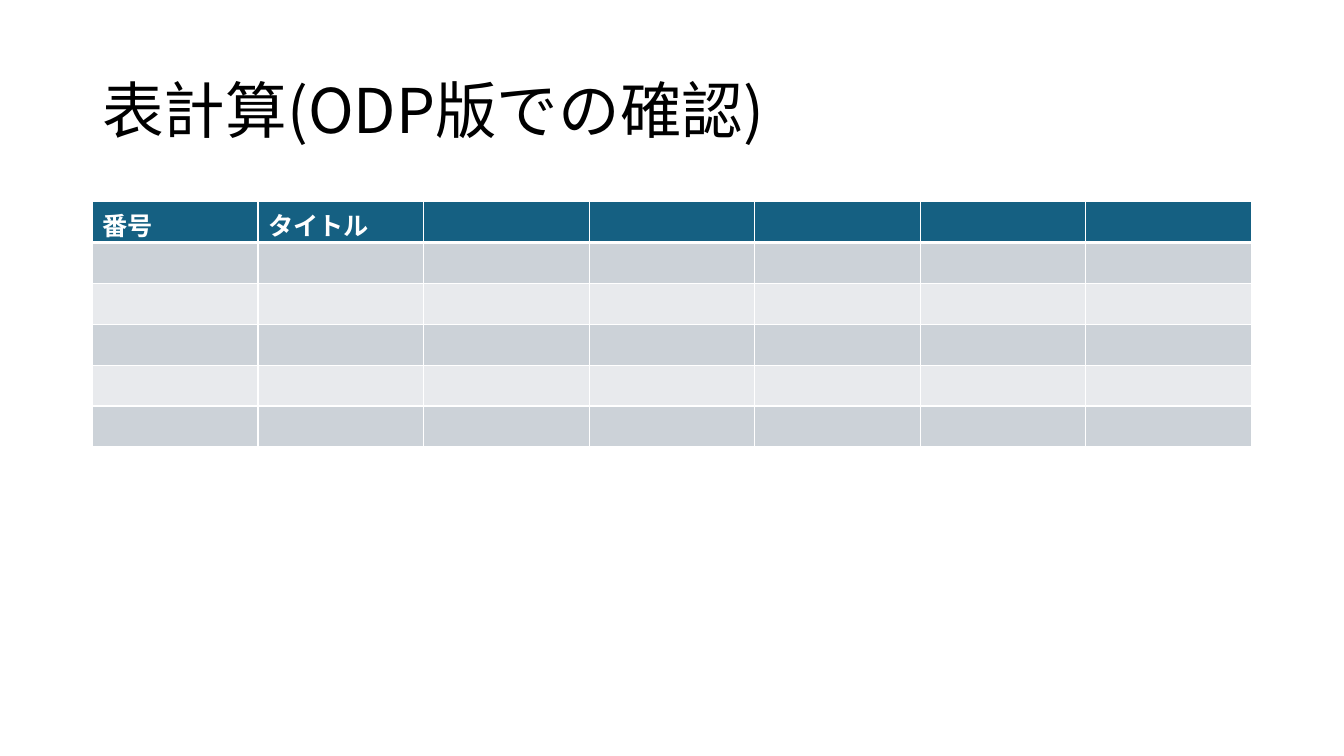
from dataclasses import dataclass

from lxml import etree
from pptx import Presentation
from pptx.dml.color import RGBColor
from pptx.enum.text import MSO_ANCHOR
from pptx.oxml.ns import qn
from pptx.slide import Slide
from pptx.table import _Cell
from pptx.text.text import _Paragraph
from pptx.util import Inches, Pt

SLIDE_WIDTH, SLIDE_HEIGHT = Inches(13.333), Inches(7.5)
GRID_COLUMNS, GRID_ROWS = 160, 90
BLANK_LAYOUT = 6
MIDDLE = MSO_ANCHOR.MIDDLE

FONT_NAME = "Noto Sans CJK JP"
BLACK = RGBColor(0x00, 0x00, 0x00)
WHITE = RGBColor(0xFF, 0xFF, 0xFF)
HEADER_BLUE = RGBColor(0x15, 0x60, 0x82)
BAND_DARK = RGBColor(0xCC, 0xD2, 0xD8)
BAND_LIGHT = RGBColor(0xE8, 0xEA, 0xED)

TITLE = "表計算(ODP版での確認)"
HEADINGS = ["番号", "タイトル", "", "", "", "", ""]
BODY_ROWS = 5
THIN, THICK = 1, 3


@dataclass(frozen=True)
class Area:
    """A rectangle in grid columns and rows."""
    column: float
    row: float
    columns: float
    rows: float

    def box(self) -> tuple[int, int, int, int]:
        """Left, top, width and height in slide units."""
        column_width = SLIDE_WIDTH / GRID_COLUMNS
        row_height = SLIDE_HEIGHT / GRID_ROWS
        return (round(self.column * column_width), round(self.row * row_height),
                round(self.columns * column_width), round(self.rows * row_height))


@dataclass(frozen=True)
class RowStyle:
    fill: RGBColor
    top: int
    bottom: int


TITLE_AREA = Area(11, 4.8, 138, 17.4)
TABLE_AREA = Area(11, 24, 138, 29.2)


def style_paragraph(paragraph: _Paragraph, size: int, color: RGBColor,
                    bold: bool = False) -> None:
    font = paragraph.font
    font.name, font.size, font.bold = FONT_NAME, Pt(size), bold
    font.color.rgb = color
    properties = paragraph._p.get_or_add_pPr().find(qn("a:defRPr"))
    etree.SubElement(properties, qn("a:ea"), typeface=FONT_NAME)


def add_border(cell: _Cell, side: str, points: int) -> None:
    line = etree.SubElement(cell._tc.get_or_add_tcPr(), qn(f"a:ln{side}"),
                            w=str(Pt(points)))
    fill = etree.SubElement(line, qn("a:solidFill"))
    etree.SubElement(fill, qn("a:srgbClr"), val=str(WHITE))


def style_cell(cell: _Cell, style: RowStyle) -> None:
    """Draw the borders first, as the fill must follow them in the XML."""
    for side, points in (("L", THIN), ("R", THIN),
                         ("T", style.top), ("B", style.bottom)):
        add_border(cell, side, points)
    cell.fill.solid()
    cell.fill.fore_color.rgb = style.fill


def row_style(row: int) -> RowStyle:
    if row == 0:
        return RowStyle(HEADER_BLUE, THIN, THICK)
    return RowStyle(BAND_DARK if row % 2 else BAND_LIGHT,
                    THICK if row == 1 else THIN, THIN)


def add_title(slide: Slide) -> None:
    frame = slide.shapes.add_textbox(*TITLE_AREA.box()).text_frame
    frame.word_wrap = True
    frame.vertical_anchor = MIDDLE
    paragraph = frame.paragraphs[0]
    paragraph.text = TITLE
    paragraph.line_spacing = 0.9
    style_paragraph(paragraph, 44, BLACK)


def add_number_table(slide: Slide) -> None:
    table = slide.shapes.add_table(BODY_ROWS + 1, len(HEADINGS),
                                   *TABLE_AREA.box()).table
    for row_index, row in enumerate(table.rows):
        for cell in row.cells:
            style_cell(cell, row_style(row_index))
    for cell, heading in zip(table.rows[0].cells, HEADINGS):
        if heading:
            cell.text = heading
            style_paragraph(cell.text_frame.paragraphs[0], 18, WHITE, bold=True)


def main() -> None:
    presentation = Presentation()
    presentation.slide_width = SLIDE_WIDTH
    presentation.slide_height = SLIDE_HEIGHT
    slide = presentation.slides.add_slide(presentation.slide_layouts[BLANK_LAYOUT])
    add_title(slide)
    add_number_table(slide)
    presentation.save("out.pptx")


if __name__ == "__main__":
    main()
